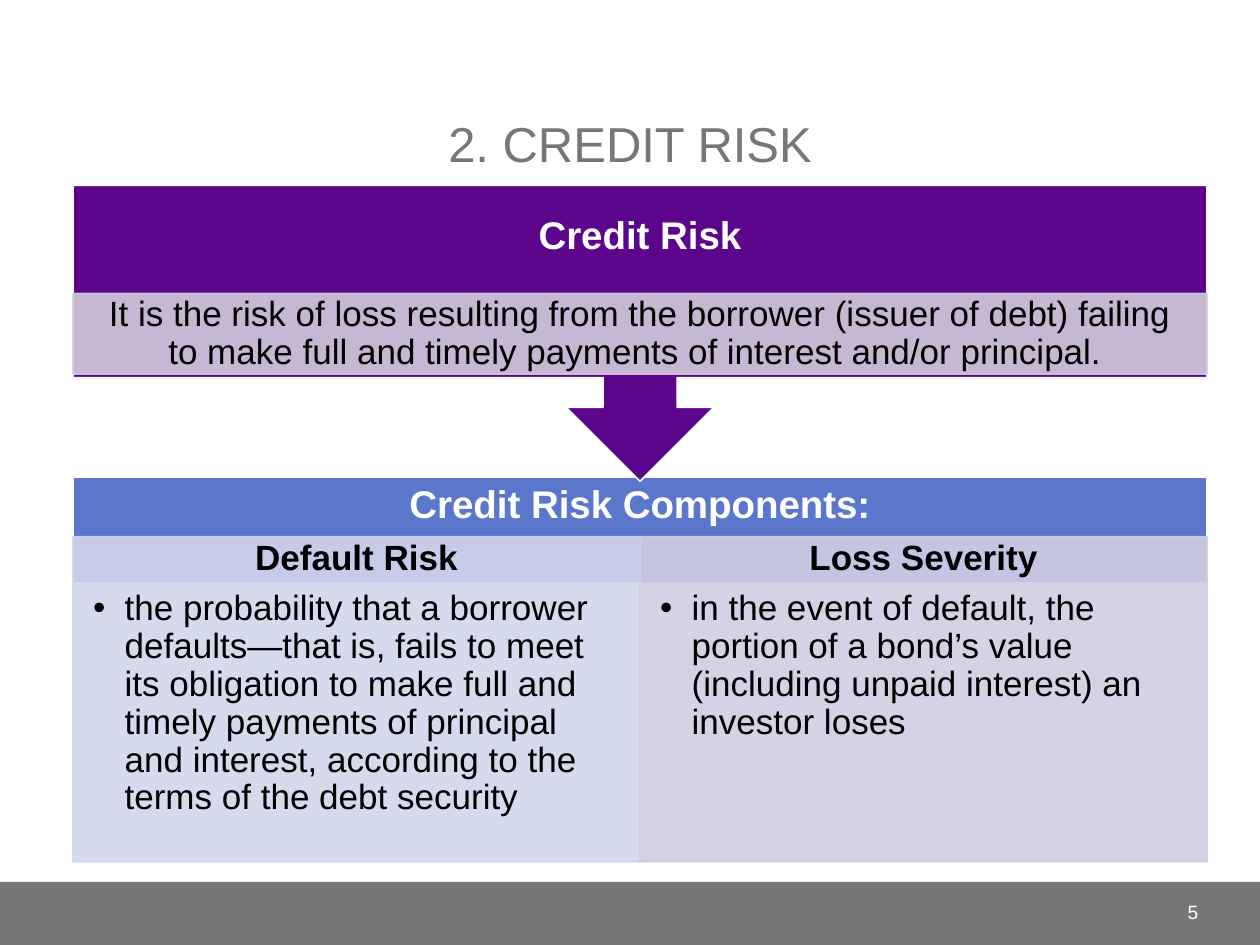
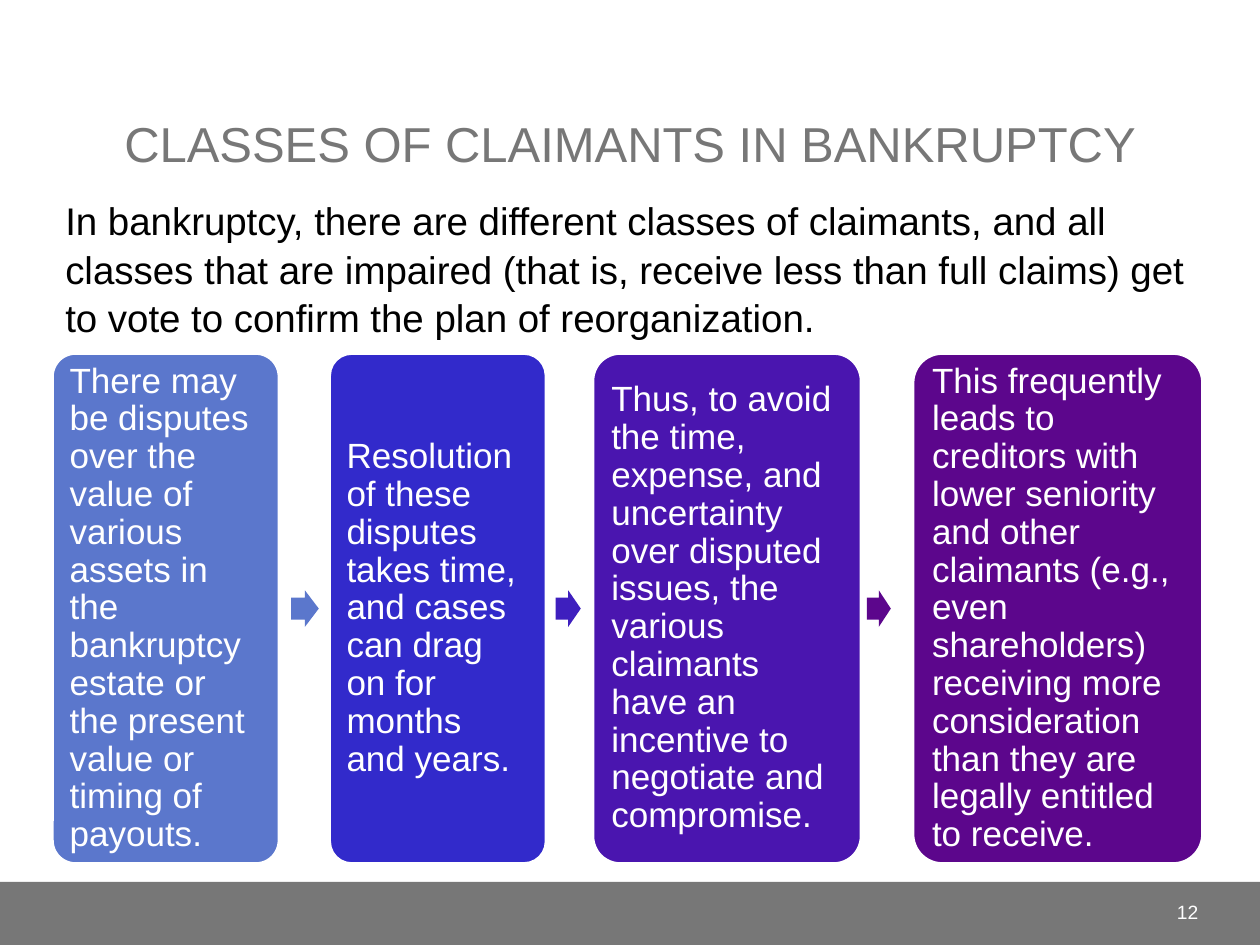
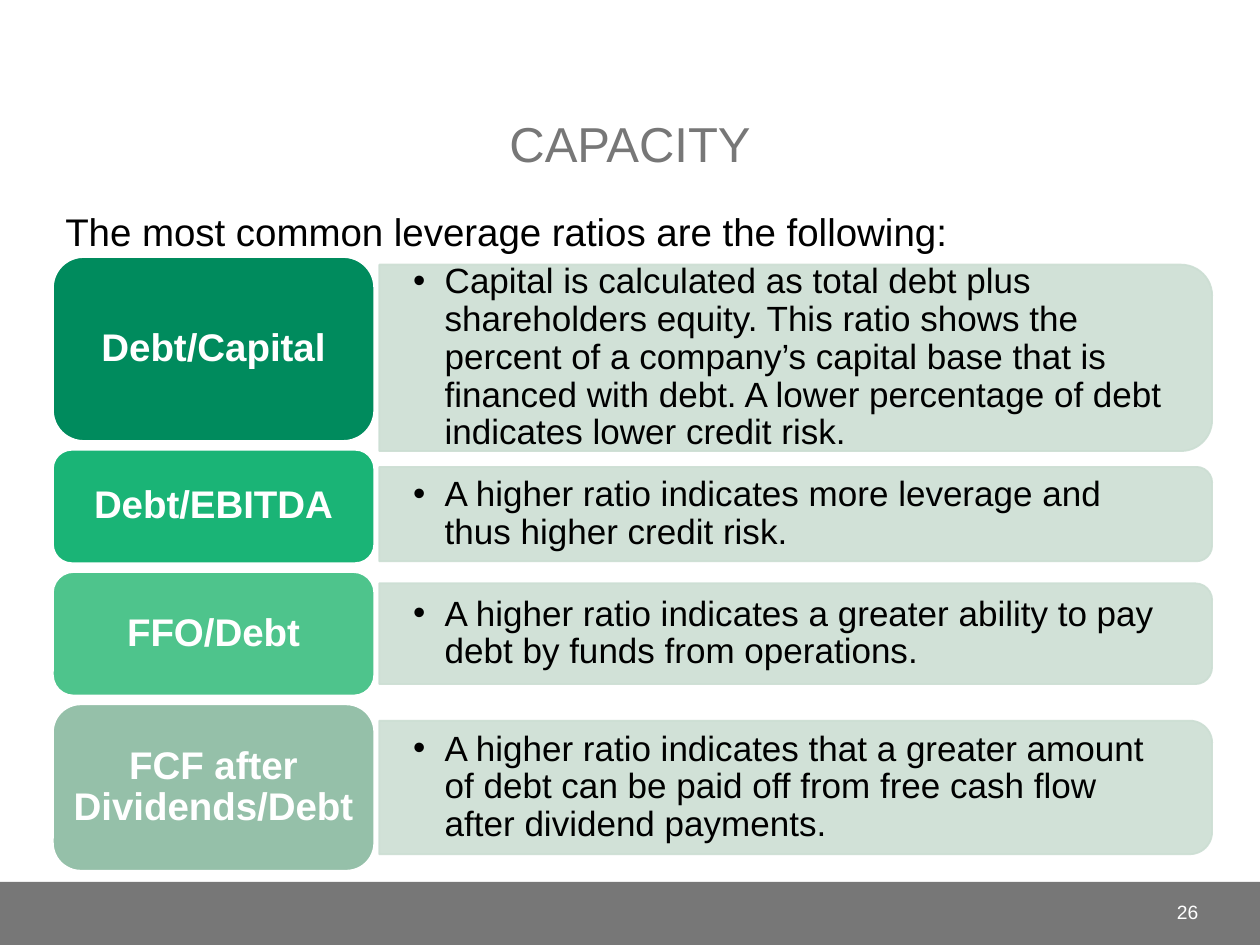
from collections import namedtuple

from lxml.etree import SubElement
from pptx import Presentation
from pptx.dml.color import RGBColor
from pptx.enum.shapes import MSO_SHAPE
from pptx.enum.text import MSO_ANCHOR, MSO_AUTO_SIZE, PP_ALIGN
from pptx.oxml.ns import qn
from pptx.util import Inches, Pt

Box = namedtuple("Box", "left top width height")

FONT = "Arial"
WHITE = RGBColor(0xFF, 0xFF, 0xFF)
BLACK = RGBColor(0x00, 0x00, 0x00)
GRAY = RGBColor(0x77, 0x77, 0x77)
PURPLE = RGBColor(0x5C, 0x06, 0x8C)
VIOLET = RGBColor(0x4A, 0x15, 0xAF)
INDIGO = RGBColor(0x3E, 0x1F, 0xBE)
ROYAL = RGBColor(0x32, 0x2A, 0xCB)
BLUE = RGBColor(0x5B, 0x77, 0xCC)
PALE_BLUE = RGBColor(0xD2, 0xD6, 0xEC)
PALE_LILAC = RGBColor(0xD1, 0xCE, 0xE4)
PALE_PURPLE = RGBColor(0xD2, 0xCC, 0xDA)
PALE_GREEN = RGBColor(0xCC, 0xDE, 0xD3)
DARK_GREEN = RGBColor(0x00, 0x8B, 0x5D)
GREEN = RGBColor(0x1A, 0xB4, 0x76)
LIGHT_GREEN = RGBColor(0x4E, 0xC4, 0x8C)
SAGE = RGBColor(0x95, 0xC0, 0xA9)

TITLE = {"size": Pt(28), "color": GRAY}
LEAD = {"size": Pt(22), "color": BLACK}
HEADING = {"size": Pt(22), "color": WHITE, "bold": True}
DETAIL = {"size": Pt(20), "color": BLACK}
SUBHEAD = {**DETAIL, "bold": True}
STEP = {"size": Pt(20), "color": WHITE}
NUMBER = {"size": Pt(11), "color": WHITE}

CENTERED = {"alignment": PP_ALIGN.CENTER, "line_spacing": 0.9}
LEFT = {"alignment": PP_ALIGN.LEFT, "line_spacing": 0.9}
SPACED = {**CENTERED, "space_after": Pt(7)}
LOOSE = {"alignment": PP_ALIGN.LEFT, "line_spacing": 1.05}

TITLE_BOX = Box(0.42, 0.17, 9.16, 1.25)
BAND_BOX = Box(0, 7, 10, 0.5)
NUMBER_BOX = Box(8.75, 7.04, 0.86, 0.4)
DEFAULT_INSETS = (0.1, 0.05, 0.1, 0.05)
PANEL_INSETS = (0.16, 0.03, 0.16, 0.03)


def set_all(target, values):
    for name, value in values.items():
        setattr(target, name, value)


def inches(box):
    return [Inches(length) for length in box]


def set_frame(frame, insets, anchor):
    sides = ("margin_left", "margin_top", "margin_right", "margin_bottom")
    set_all(frame, dict(zip(sides, inches(insets))))
    set_all(frame, {"word_wrap": True, "auto_size": MSO_AUTO_SIZE.NONE,
                    "vertical_anchor": anchor})


def add_bullet(paragraph):
    properties = paragraph._p.get_or_add_pPr()
    properties.set("marL", str(Inches(0.25)))
    properties.set("indent", str(-Inches(0.25)))
    SubElement(properties, qn("a:buFont")).set("typeface", FONT)
    SubElement(properties, qn("a:buChar")).set("char", "•")


def write(paragraph, text, style, layout, bullet=False):
    set_all(paragraph, layout)
    if bullet:
        add_bullet(paragraph)
    run = paragraph.add_run()
    run.text = text
    set_all(run.font, {"name": FONT, "size": style["size"],
                       "bold": style.get("bold", False)})
    run.font.color.rgb = style["color"]


def add_text(slide, box, text, style, layout, insets=DEFAULT_INSETS,
             anchor=MSO_ANCHOR.MIDDLE, bullet=False):
    frame = slide.shapes.add_textbox(*inches(box)).text_frame
    set_frame(frame, insets, anchor)
    write(frame.paragraphs[0], text, style, layout, bullet)


def add_panel(slide, preset, box, fill, line=None, alpha=None, rotation=0):
    panel = slide.shapes.add_shape(preset, *inches(box))
    panel.shadow.inherit = False
    panel.rotation = rotation
    panel.fill.solid()
    panel.fill.fore_color.rgb = fill
    if line is None:
        panel.line.fill.background()
    else:
        panel.line.color.rgb = line
        panel.line.width = Pt(1)
    if alpha:
        for color in list(panel._element.spPr.iter(qn("a:srgbClr"))):
            SubElement(color, qn("a:alpha")).set("val", str(alpha * 1000))
    return panel


def add_pale_panel(slide, preset, box, color, rotation=0):
    return add_panel(slide, preset, box, color, color, 90, rotation)


def fill_panel(panel, text, style, layout, insets, anchor=MSO_ANCHOR.MIDDLE):
    set_frame(panel.text_frame, insets, anchor)
    write(panel.text_frame.paragraphs[0], text, style, layout)


def add_titled_slide(deck, title, number):
    slide = deck.slides.add_slide(deck.slide_layouts[5])
    add_panel(slide, MSO_SHAPE.RECTANGLE, BAND_BOX, GRAY)
    heading = slide.shapes.title
    set_all(heading, dict(zip(TITLE_BOX._fields, inches(TITLE_BOX))))
    set_frame(heading.text_frame, DEFAULT_INSETS, MSO_ANCHOR.BOTTOM)
    write(heading.text_frame.paragraphs[0], title, TITLE,
          {"alignment": PP_ALIGN.CENTER})
    add_text(slide, NUMBER_BOX, number, NUMBER, {"alignment": PP_ALIGN.RIGHT})
    return slide


def add_lead(slide, box, text):
    add_text(slide, box, text, LEAD, LOOSE, anchor=MSO_ANCHOR.TOP)


def add_components(slide, box, heading, components):
    strip = add_panel(slide, MSO_SHAPE.RECTANGLE, box._replace(height=0.84), BLUE, WHITE)
    fill_panel(strip, heading, HEADING, CENTERED, (0.17, 0, 0.17, 0.39))
    width = box.width / len(components)
    for index, (name, meaning, color) in enumerate(components):
        column = Box(box.left + index * width, box.top + 0.47, width, box.height - 0.47)
        panel = add_pale_panel(slide, MSO_SHAPE.RECTANGLE, column, color)
        fill_panel(panel, name, SUBHEAD, SPACED, PANEL_INSETS, MSO_ANCHOR.TOP)
        write(panel.text_frame.add_paragraph(), meaning, DETAIL, LEFT, bullet=True)


def add_definition(slide, box, term, definition):
    add_panel(slide, MSO_SHAPE.UP_ARROW_CALLOUT, box, PURPLE, WHITE, rotation=180)
    add_text(slide, box._replace(height=0.82), term, HEADING, CENTERED)
    meaning = add_pale_panel(slide, MSO_SHAPE.RECTANGLE,
                             box._replace(top=box.top + 0.86, height=0.64), PALE_PURPLE)
    fill_panel(meaning, definition, DETAIL, CENTERED, PANEL_INSETS)


def add_steps(slide, box, steps, arrows):
    for offset, width, color, text in steps:
        card = add_panel(slide, MSO_SHAPE.ROUNDED_RECTANGLE,
                         Box(box.left + offset, box.top, width, box.height), color, WHITE)
        card.adjustments[0] = 0.1
        fill_panel(card, text, STEP, LEFT, (0.08,) * 4)
    height = 0.29
    for offset, width, color in arrows:
        arrow = add_panel(slide, MSO_SHAPE.RIGHT_ARROW,
                          Box(box.left + offset, box.top + (box.height - height) / 2,
                              width, height), color)
        arrow.adjustments[0] = 0.6


def add_ratios(slide, box, ratios):
    label_width, gap = 2.55, 0.07
    detail_left = box.left + label_width + 0.04
    detail_width = box.left + box.width - detail_left
    top = box.top
    for name, color, height, detail_height, shift, text in ratios:
        middle = top + height / 2 + shift
        turned = Box(detail_left + (detail_width - detail_height) / 2,
                     middle - detail_width / 2, detail_height, detail_width)
        add_pale_panel(slide, MSO_SHAPE.ROUND_2_SAME_RECTANGLE, turned, PALE_GREEN, 90)
        add_text(slide, Box(detail_left, middle - detail_height / 2,
                            detail_width - 0.05, detail_height),
                 text, DETAIL, LEFT, (0.27, 0.05, 0.27, 0.05), bullet=True)
        label = add_panel(slide, MSO_SHAPE.ROUNDED_RECTANGLE,
                          Box(box.left, top, label_width, height), color, WHITE)
        fill_panel(label, name, HEADING, CENTERED, (0.05,) * 4)
        top += height + gap


def build_credit_risk(deck):
    slide = add_titled_slide(deck, "2. CREDIT RISK", "5")
    add_components(slide, Box(0.58, 3.79, 9, 3.05), "Credit Risk Components:", [
        ("Default Risk",
         "the probability that a borrower defaults—that is, fails to meet its obligation "
         "to make full and timely payments of principal and interest, according to the "
         "terms of the debt security", PALE_BLUE),
        ("Loss Severity",
         "in the event of default, the portion of a bond’s value (including unpaid "
         "interest) an investor loses", PALE_LILAC),
    ])
    add_definition(slide, Box(0.58, 1.47, 9, 2.35), "Credit Risk",
                   "It is the risk of loss resulting from the borrower (issuer of debt) "
                   "failing to make full and timely payments of interest and/or principal. ")


def build_claimants(deck):
    slide = add_titled_slide(deck, "CLASSES OF CLAIMANTS IN BANKRUPTCY", "12")
    add_lead(slide, Box(0.42, 1.5, 9.16, 1.25),
             "In bankruptcy, there are different classes of claimants, and all classes that "
             "are impaired (that is, receive less than full claims) get to vote to confirm "
             "the plan of reorganization.")
    steps = [
        (0, 1.79, BLUE,
         "There may be disputes over the value of various assets in the bankruptcy estate "
         "or the present value or timing of payouts."),
        (2.2, 1.71, ROYAL,
         "Resolution of these disputes takes time, and cases can drag on for months and "
         "years."),
        (4.29, 2.12, VIOLET,
         "Thus, to avoid the time, expense, and uncertainty over disputed issues, the "
         "various claimants have an incentive to negotiate and compromise."),
        (6.83, 2.29, PURPLE,
         "This frequently leads to creditors with lower seniority and other claimants "
         "(e.g., even shareholders) receiving more consideration than they are legally "
         "entitled to receive."),
    ]
    arrows = [(1.89, 0.22, BLUE), (3.99, 0.2, INDIGO), (6.46, 0.19, PURPLE)]
    add_steps(slide, Box(0.42, 2.81, 9.12, 4.04), steps, arrows)


def build_capacity(deck):
    slide = add_titled_slide(deck, "CAPACITY", "26")
    add_lead(slide, Box(0.42, 1.58, 9.16, 0.75),
             "The most common leverage ratios are the following:")
    add_ratios(slide, Box(0.42, 2.04, 9.2, 4.87), [
        ("Debt/Capital", DARK_GREEN, 1.46, 1.48, 0.07,
         "Capital is calculated as total debt plus shareholders equity. This ratio shows "
         "the percent of a company’s capital base that is financed with debt. A lower "
         "percentage of debt indicates lower credit risk."),
        ("Debt/EBITDA", GREEN, 0.9, 0.75, 0.06,
         "A higher ratio indicates more leverage and thus higher credit risk."),
        ("FFO/Debt", LIGHT_GREEN, 0.98, 0.8, 0,
         "A higher ratio indicates a greater ability to pay debt by funds from "
         "operations."),
        ("FCF after Dividends/Debt", SAGE, 1.32, 1.06, 0,
         "A higher ratio indicates that a greater amount of debt can be paid off from "
         "free cash flow after dividend payments."),
    ])


def main():
    deck = Presentation()
    set_all(deck, {"slide_width": Inches(10), "slide_height": Inches(7.5)})
    for build in (build_credit_risk, build_claimants, build_capacity):
        build(deck)
    deck.save("out.pptx")


if __name__ == "__main__":
    main()
